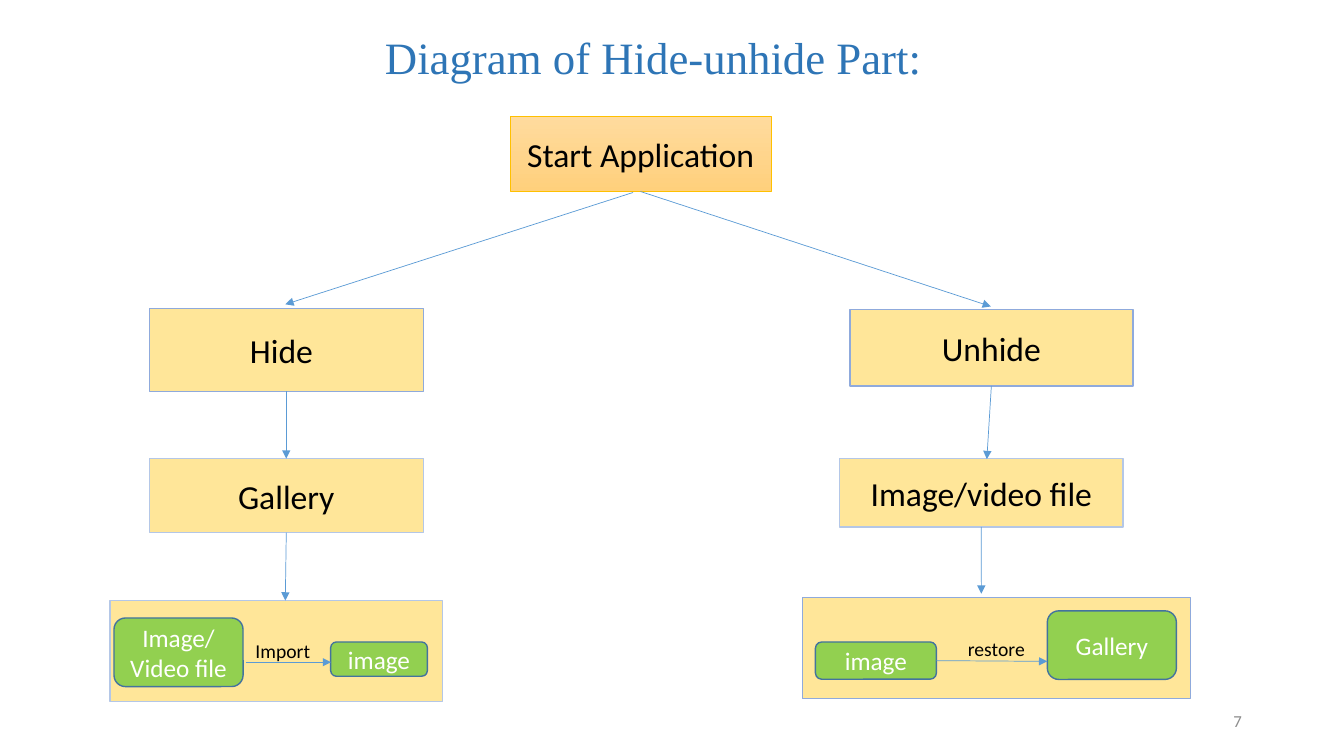
import pptx
import pptx.util
import pptx.dml.color
import pptx.enum.shapes
import pptx.enum.text
import pptx.oxml
import pptx.oxml.ns

Pt = pptx.util.Pt
Kind = pptx.enum.shapes.MSO_SHAPE
Align = pptx.enum.text.PP_ALIGN
Anchor = pptx.enum.text.MSO_ANCHOR

TITLE = "Diagram of Hide-unhide Part:"
PAGE = "7"
BLUE, PALE, DEEP = "8FAADC", "B4C7E7", "43739E"
SAND, GREEN, ARROW = "FFE699", "92D050", "5B9BD5"
SIDES = {"top": 0, "left": 1, "bottom": 2, "right": 3}

STEPS = {
    "start": ("Start Application", 364.3, 82.8, 186.5, 54, "FFC000", 0.5, 24),
    "hide": ("Hide", 106.6, 220.3, 195.8, 59, BLUE, 0.5, 24),
    "unhide": ("Unhide", 607, 221, 202.3, 54.7, BLUE, 1, 24),
    "pick": ("Gallery", 106.6, 327.6, 195.8, 52.8, PALE, 1, 24),
    "file": ("Image/video file", 599.8, 327.6, 202.3, 48.8, PALE, 1, 24),
    "import": ("Import", 78.5, 429, 237.6, 72, PALE, 1, 14),
    "restore": ("restore", 573.1, 427, 277.2, 72, BLUE, 1, 14),
}
PILLS = {
    "hidden": ("image", 582.5, 458.6, 86.4, 26.6),
    "target": ("Gallery", 748.1, 436.3, 92.2, 49),
    "result": ("image", 236.2, 458.6, 69.1, 24.5),
    "source": ("Image/\nVideo file", 81.4, 441.4, 92.2, 49),
}
PADS = {"hide": (7.2, 14), "import": (16.6, 7.2)}

LINKS = [
    ((452.2, 137.5), (203.8, 217.4)),
    (("start", "bottom"), (707.8, 218.9)),
    (("hide", "bottom"), ("pick", "top")),
    (("pick", "bottom"), (203.8, 429)),
    (("unhide", "bottom"), (704.9, 328)),
    (("file", "bottom"), (701, 424.1)),
    (("hidden", "right"), (748.1, 472.4)),
    ((175.7, 473), (236.5, 473)),
]


def color(code):
    return pptx.dml.color.RGBColor.from_string(code)


def style(frame, size, code, align, font="Calibri"):
    for para in frame.paragraphs:
        para.alignment = align
        for run in para.runs:
            run.font.name = font
            run.font.size = Pt(size)
            run.font.color.rgb = color(code)


def add_box(slide, kind, text, spot, fill, edge, width, size, ink, pads=(7.2, 7.2)):
    box = slide.shapes.add_shape(kind, *map(Pt, spot))
    box.shadow.inherit = False
    box.fill.solid()
    box.fill.fore_color.rgb = color(fill)
    box.line.color.rgb = color(edge)
    box.line.width = Pt(width)
    frame = box.text_frame
    frame.text = text
    frame.word_wrap = True
    frame.vertical_anchor = Anchor.MIDDLE
    frame.margin_left, frame.margin_right = map(Pt, pads)
    style(frame, size, ink, Align.CENTER)
    return box


def add_link(slide, boxes, start, end):
    points = [(0, 0) if isinstance(tip[0], str) else tip for tip in (start, end)]
    link = slide.shapes.add_connector(
        pptx.enum.shapes.MSO_CONNECTOR.STRAIGHT, *map(Pt, points[0] + points[1]))
    for tip, join in ((start, link.begin_connect), (end, link.end_connect)):
        if isinstance(tip[0], str):
            join(boxes[tip[0]], SIDES[tip[1]])
    link.line.color.rgb = color(ARROW)
    link.line.width = Pt(0.5)
    tail = pptx.oxml.parse_xml(
        f'<a:tailEnd {pptx.oxml.ns.nsdecls("a")} type="triangle"/>')
    link.line._get_or_add_ln().append(tail)
    blank = pptx.oxml.parse_xml(f'<a:effectLst {pptx.oxml.ns.nsdecls("a")}/>')
    link._element.spPr.append(blank)


def add_title(slide):
    title = slide.shapes.title
    title.left, title.top, title.width, title.height = map(Pt, (267.8, -1.4, 625.7, 64.8))
    frame = title.text_frame
    frame.text = TITLE
    frame.word_wrap = True
    frame.vertical_anchor = Anchor.BOTTOM
    frame.paragraphs[0].line_spacing = 0.9
    style(frame, 32, "2E75B6", Align.LEFT, "Times New Roman")


def add_page(slide):
    frame = slide.shapes.add_textbox(*map(Pt, (678.2, 500.4, 216, 28.8))).text_frame
    frame.text = PAGE
    frame.word_wrap = True
    frame.vertical_anchor = Anchor.MIDDLE
    style(frame, 12, "8C8C8C", Align.RIGHT)


def main():
    deck = pptx.Presentation()
    deck.slide_width, deck.slide_height = Pt(960), Pt(540)
    slide = deck.slides.add_slide(deck.slide_layouts[5])
    add_title(slide)
    add_page(slide)
    boxes = {}
    for name, (text, *spot, edge, width, size) in STEPS.items():
        boxes[name] = add_box(slide, Kind.RECTANGLE, text, spot, SAND, edge, width,
                              size, "000000", PADS.get(name, (7.2, 7.2)))
    for name, (text, *spot) in PILLS.items():
        boxes[name] = add_box(slide, Kind.ROUNDED_RECTANGLE, text, spot, GREEN, DEEP,
                              1, 18, "FFFFFF")
    fill = boxes["start"].fill
    fill.gradient()
    fill.gradient_angle = 270
    for stop, place, code in zip(fill.gradient_stops, (0, 1), ("FFDB9E", "FFD07C")):
        stop.position = place
        stop.color.rgb = color(code)
    for start, end in LINKS:
        add_link(slide, boxes, start, end)
    deck.save("out.pptx")


if __name__ == "__main__":
    main()
